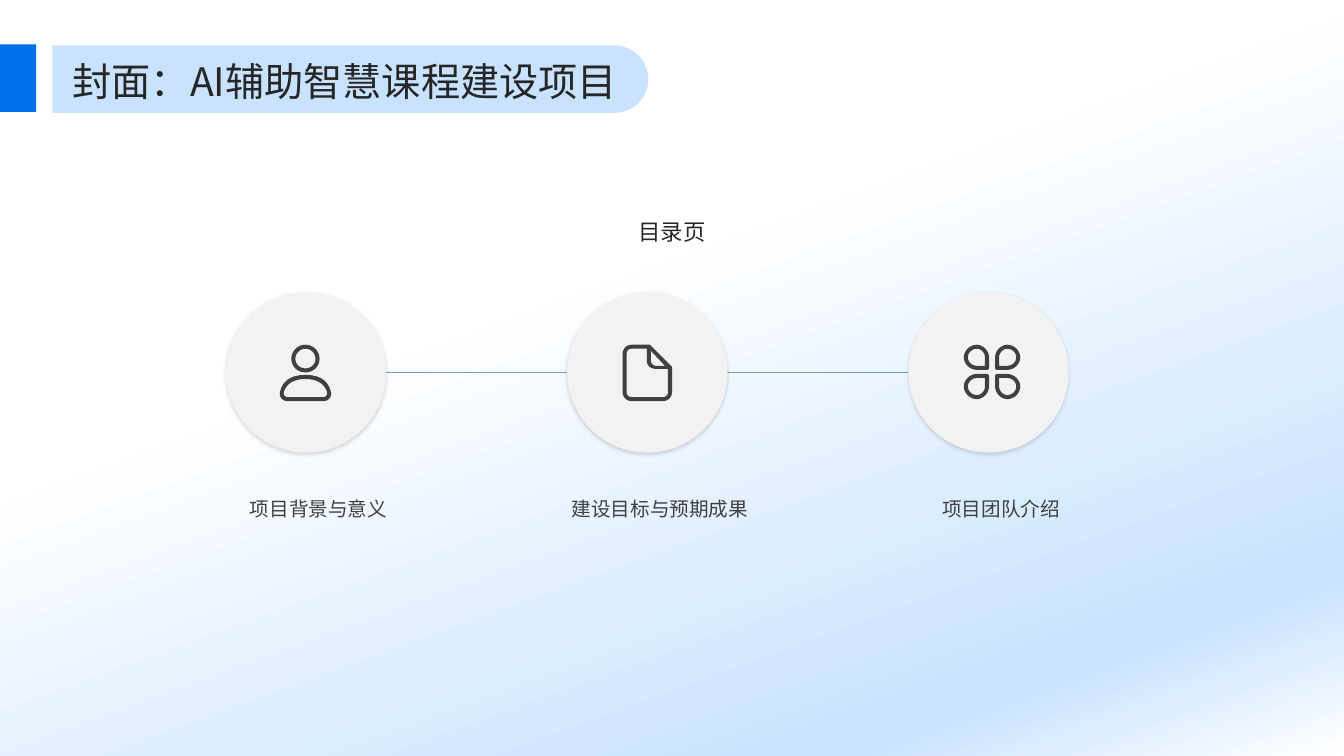
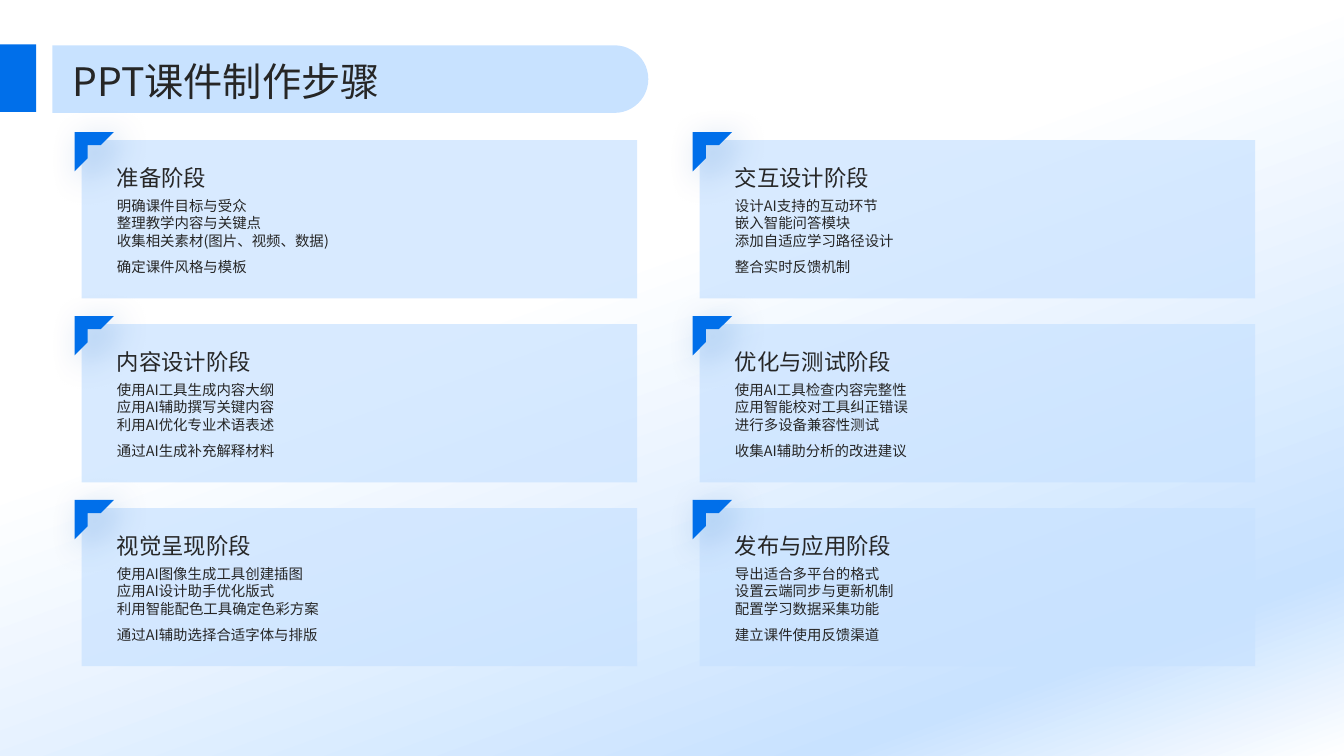
from lxml.etree import SubElement as Sub
from pptx import Presentation
from pptx.dml.color import RGBColor
from pptx.enum.shapes import MSO_CONNECTOR as Link, MSO_SHAPE as Form
from pptx.enum.text import MSO_ANCHOR as Anchor, MSO_AUTO_SIZE as Fit, PP_ALIGN as Align
from pptx.oxml.ns import qn
from pptx.util import Inches, Pt

FONT = "Noto Sans CJK SC"
BLUE, PALE, WHITE, INK, GREY = "006FEA", "C8E2FF", "FFFFFF", "262626", "404040"
STOPS = [(1, WHITE), (39, WHITE), (85, PALE), (100, WHITE)]
WIDE, HIGH = 13.33, 7.5

HEAD = ["M 26 0 C 33.7 0 40 6.3 40 14 C 40 21.7 33.7 27.5 26 27.5"
        " C 18.3 27.5 12 21.7 12 14 C 12 6.3 18.3 0 26 0",
        "M 26 4 C 31.5 4 36 8.5 36 14 C 36 19.5 31.5 23.5 26 23.5"
        " C 20.5 23.5 16 19.5 16 14 C 16 8.5 20.5 4 26 4"]
BODY = ["M 26 30 C 43 30 49 38 51 46 C 53 51 49 56 44 56"
        " L 8 56 C 3 56 -1 51 1 46 C 3 38 9 30 26 30",
        "M 26 34 C 38 34 45 39 47.5 47 C 48 50 46 52 44 52"
        " L 8 52 C 6 52 4 50 4.5 47 C 7 39 14 34 26 34"]
PAGE = ["M 49 23 C 49 22 49 21.5 48 21 L 28 1 C 27.5 0 27 0 26 0 L 9 0 C 4 0 0 4 0 9"
        " L 0 47 C 0 52 4 56 9 56 L 40 56 C 45 56 49 52 49 47",
        "M 28 16 L 28 6 L 42 21 L 33 21 C 30 21 28 18 28 16",
        "M 45 47 C 45 50 43 52 40 52 L 9 52 C 6 52 4 50 4 47 L 4 9 C 4 6 6 4 9 4"
        " L 24 4 L 24 16 C 24 21 28 24 33 24 L 45 24"]
LEAF = ["M 23 25 L 13 25 C 6 25 0 19 0 12.5 C 0 6 6 0 13 0"
        " C 19 0 25 6 25 12.5 L 25 23 C 25 24 24 25 23 25",
        "M 13 4 C 8 4 4 8 4 12.5 C 4 17 8 21 13 21 L 21 21 L 21 12.5 C 21 8 17 4 13 4"]

CARDS = [
    ("准备阶段", ["明确课件目标与受众", "整理教学内容与关键点",
              "收集相关素材(图片、视频、数据)", "确定课件风格与模板"]),
    ("内容设计阶段", ["使用AI工具生成内容大纲", "应用AI辅助撰写关键内容",
                "利用AI优化专业术语表述", "通过AI生成补充解释材料"]),
    ("视觉呈现阶段", ["使用AI图像生成工具创建插图", "应用AI设计助手优化版式",
                "利用智能配色工具确定色彩方案", "通过AI辅助选择合适字体与排版"]),
    ("交互设计阶段", ["设计AI支持的互动环节", "嵌入智能问答模块",
                "添加自适应学习路径设计", "整合实时反馈机制"]),
    ("优化与测试阶段", ["使用AI工具检查内容完整性", "应用智能校对工具纠正错误",
                 "进行多设备兼容性测试", "收集AI辅助分析的改进建议"]),
    ("发布与应用阶段", ["导出适合多平台的格式", "设置云端同步与更新机制",
                 "配置学习数据采集功能", "建立课件使用反馈渠道"]),
]


def tint(code):
    """Turn a hex string into a colour."""
    return RGBColor.from_string(code)


def paint(shape, code=None, alpha=None):
    """Give a shape a flat fill with no line or shadow."""
    shape.shadow.inherit = False
    shape.line.fill.background()
    if code:
        shape.fill.solid()
        shape.fill.fore_color.rgb = tint(code)
    if alpha:
        color = next(shape.element.spPr.iter(qn("a:srgbClr")))
        Sub(color, qn("a:alpha"), val=str(alpha * 1000))
    return shape


def block(slide, form, box, code=None, alpha=None):
    """Add a plain preset shape in a box."""
    return paint(slide.shapes.add_shape(form, *map(Inches, box)), code, alpha)


def shade(shape, code, alpha, blur, dist, angle):
    """Add an outer shadow to a shape."""
    glow = Sub(shape.element.spPr.find(qn("a:effectLst")), qn("a:outerShdw"),
               blurRad=str(Pt(blur)), dist=str(Pt(dist)), dir=str(angle * 60000),
               algn="ctr", rotWithShape="0")
    color = Sub(glow, qn("a:srgbClr"), val=code)
    Sub(color, qn("a:alpha"), val=str(alpha * 1000))


def write(shape, lines, size, code=INK, space=1.1, align=Align.LEFT,
          anchor=Anchor.TOP, pads=(0, 0, 0, 0)):
    """Set the lines of text of a box."""
    frame = shape.text_frame
    frame.word_wrap, frame.auto_size = True, Fit.NONE
    frame.vertical_anchor = anchor
    (frame.margin_left, frame.margin_top,
     frame.margin_right, frame.margin_bottom) = map(Inches, pads)
    for i, line in enumerate(lines):
        para = frame.add_paragraph() if i else frame.paragraphs[0]
        para.alignment, para.line_spacing = align, space
        run = para.add_run()
        run.text = line
        run.font.name, run.font.size = FONT, Pt(size)
        run.font.color.rgb = tint(code)
        Sub(run.font._element, qn("a:ea"), typeface=FONT)
    return frame


def label(slide, box, lines, size, **style):
    """Add a text box."""
    return write(slide.shapes.add_textbox(*map(Inches, box)), lines, size, **style)


def trace(text):
    """Turn a curve string into a list of points."""
    words, dots = text.split(), []
    while words:
        count = 6 if words.pop(0) == "C" else 2
        nums = [float(word) for word in words[:count]]
        del words[:count]
        ends = list(zip(nums[::2], nums[1::2]))
        if count == 2:
            dots += ends
            continue
        knots = [dots[-1]] + ends
        for t in (n / 8 for n in range(1, 9)):
            parts = ((1 - t) ** 3, 3 * t * (1 - t) ** 2, 3 * t * t * (1 - t), t ** 3)
            dots.append(tuple(sum(p * k[i] for p, k in zip(parts, knots)) for i in (0, 1)))
    return dots


def clover():
    """Mirror one leaf into four."""
    return [[(56 - x if flip else x, 54 - y if turn else y) for x, y in trace(text)]
            for flip in (0, 1) for turn in (0, 1) for text in LEAF]


def icon(slide, left, top, loops):
    """Draw an icon from closed loops in hundredths of an inch."""
    pen = None
    for loop in loops:
        dots = [(Inches(left + x / 100), Inches(top + y / 100)) for x, y in loop]
        if pen:
            pen.move_to(*dots[0])
        else:
            pen = slide.shapes.build_freeform(*dots[0], scale=1.0)
        pen.add_line_segments(dots[1:], close=True)
    paint(pen.convert_to_shape(), GREY)


def base(deck, text):
    """Start a slide with backdrop, band and title."""
    slide = deck.slides.add_slide(deck.slide_layouts[5])
    back = block(slide, Form.RECTANGLE, (0, 0, WIDE, HIGH))
    back.fill.gradient()
    back.fill.gradient_angle = 290
    stops = next(back.element.spPr.iter(qn("a:gsLst")))
    stops.clear()
    for pos, code in STOPS:
        Sub(Sub(stops, qn("a:gs"), pos=str(pos * 1000)), qn("a:srgbClr"), val=code)
    block(slide, Form.RECTANGLE, (0, 0.44, 0.36, 0.67), BLUE)
    band = block(slide, Form.ROUND_2_SAME_RECTANGLE, (3.14, -2.17, 0.67, 5.91), PALE)
    band.adjustments[0], band.adjustments[1] = 0.5, 0
    band.rotation = 90
    title = slide.shapes.title
    title.left, title.top, title.width, title.height = map(Inches, (0.72, 0.52, 11.88, 0.51))
    write(title, [text], 28, anchor=Anchor.MIDDLE)
    title.element.getparent().append(title.element)
    return slide


def dial(slide, left, top, text, inset, loops):
    """Add a disc with its icon and caption."""
    disc = block(slide, Form.OVAL, (left, top, 1.59, 1.59), "F2F2F2")
    shade(disc, "000000", 15, 3, 1, 90)
    icon(slide, left + inset, top + 0.52, loops)
    label(slide, (left, top + 1.92, 2.08, 1.89), [text], 14, code=GREY, space=1.3,
          align=Align.CENTER, pads=(0, 0.04, 0.24, 0.04))


def agenda(deck):
    """Build the contents slide."""
    slide = base(deck, "封面：AI辅助智慧课程建设项目")
    label(slide, (1.28, 1.49, 10.77, 0.94), ["目录页"], 16, space=1.5,
          align=Align.CENTER, anchor=Anchor.BOTTOM)
    wire = slide.shapes.add_connector(Link.STRAIGHT, *map(Inches, (2.24, 3.7, 10.59, 3.7)))
    wire.line.color.rgb, wire.line.width = tint("70A1C0"), Pt(0.75)
    Sub(wire.element.spPr, qn("a:effectLst"))
    items = [("项目背景与意义", 0.53, map(trace, HEAD + BODY)),
             ("建设目标与预期成果", 0.55, map(trace, PAGE)),
             ("项目团队介绍", 0.55, clover())]
    for i, item in enumerate(items):
        dial(slide, 2.24 + 3.385 * i, 2.9, *item)


def card(slide, left, top, head, lines):
    """Add a step card with its corner mark."""
    block(slide, Form.RECTANGLE, (left, top, 5.51, 1.57), PALE, 70)
    label(slide, (left + 0.35, top + 0.16, 4.8, 0.39), [head], 16, anchor=Anchor.MIDDLE)
    text = label(slide, (left + 0.35, top + 0.56, 4.8, 0.87), lines, 10.3, space=Pt(12.6))
    text.paragraphs[-1].space_before = Pt(6)
    mark = block(slide, Form.HALF_FRAME, (left - 0.07, top - 0.08, 0.39, 0.39), BLUE)
    shade(mark, "0053B0", 30, 25, 10, 45)


def steps(deck):
    """Build the slide of six step cards."""
    slide = base(deck, "PPT课件制作步骤")
    for i, (head, lines) in enumerate(CARDS):
        col, row = divmod(i, 3)
        card(slide, 0.81 + 6.13 * col, 1.39 + 1.825 * row, head, lines)


def main():
    """Build and save the deck."""
    deck = Presentation()
    deck.slide_width, deck.slide_height = Inches(WIDE), Inches(HIGH)
    agenda(deck)
    steps(deck)
    deck.save("out.pptx")


if __name__ == "__main__":
    main()
